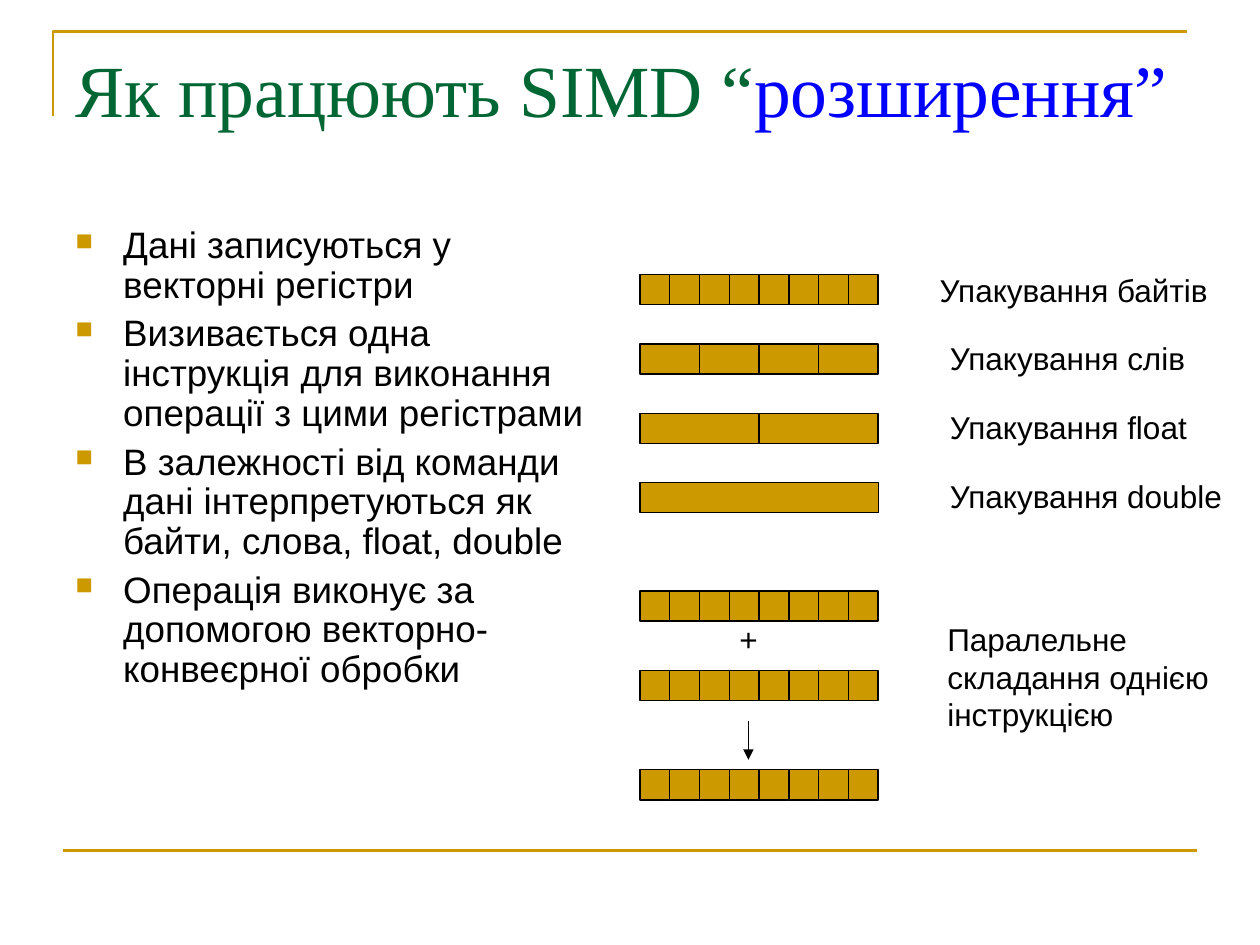
from lxml import etree
from pptx import Presentation
from pptx import util as u
from pptx.dml.color import RGBColor
from pptx.enum import shapes, text
from pptx.oxml.ns import qn

GOLD, BLACK = "CC9900", "000000"


def color(h):
    return RGBColor.from_string(h)


def add_text(x, y, w, h, lines, size, font="Arial", wrap=False):
    tf = s.shapes.add_textbox(u.Inches(x), u.Inches(y), u.Inches(w), u.Inches(h)).text_frame
    tf.word_wrap = wrap
    tf.auto_size = text.MSO_AUTO_SIZE.NONE if wrap else text.MSO_AUTO_SIZE.SHAPE_TO_FIT_TEXT
    tf.text = "\n".join(lines)
    for p in tf.paragraphs:
        p.font.size, p.font.name = u.Pt(size), font
        p.font.color.rgb = color(BLACK)
    return tf


prs = Presentation()
prs.slide_width, prs.slide_height = u.Inches(10), u.Inches(7.5)
s = prs.slides.add_slide(prs.slide_layouts[6])

# Corner frame
fb = s.shapes.build_freeform(u.Inches(0.42), u.Inches(0.92))
fb.add_line_segments([(u.Inches(0.42), u.Inches(0.25)), (u.Inches(9.42), u.Inches(0.25))], close=False)
sp = fb.convert_to_shape()
sp.shadow.inherit = False
sp.fill.background()
sp.line.color.rgb = color(GOLD)
sp.line.width = u.Pt(1.5)

# Bottom rule and result arrow
for x1, y1, x2, y2, c, width, arrow in [
    (0.5, 6.75, 9.5, 6.75, GOLD, 1.5, False),
    (5.94, 5.72, 5.94, 6.03, BLACK, 0.75, True),
]:
    cn = s.shapes.add_connector(shapes.MSO_CONNECTOR.STRAIGHT, *map(u.Inches, (x1, y1, x2, y2)))
    cn.line.color.rgb = color(c)
    cn.line.width = u.Pt(width)
    if arrow:
        etree.SubElement(cn.line._get_or_add_ln(), qn("a:tailEnd"), type="triangle")
    etree.SubElement(cn._element.spPr, qn("a:effectLst"))

# Title
tf = add_text(0.5, 0.3, 9, 1.25, [""], 42, "Times New Roman", wrap=True)
for words, c in [("Як працюють SIMD “", "006633"), ("розширення”", "0000FF")]:
    r = tf.paragraphs[0].add_run()
    r.text = words
    r.font.color.rgb = color(c)

# Bullets
tf = add_text(0.5, 1.75, 4.26, 4.95, [
    "Дані записуються у векторні регістри",
    "Визивається одна інструкція для виконання операції з цими регістрами",
    "В залежності від команди дані інтерпретуються як байти, слова, float, double",
    "Операція виконує за допомогою векторно-конвеєрної обробки",
], 21, wrap=True)
for i, p in enumerate(tf.paragraphs):
    p.line_spacing = 0.9
    p.space_before = u.Pt(5.2 if i else 0)
    pPr = p._p.get_or_add_pPr()
    pPr.set("marL", str(u.Inches(0.38)))
    pPr.set("indent", str(-u.Inches(0.38)))
    bullet = [etree.Element(qn(tag), **attrs) for tag, attrs in [
        ("a:buClr", {}), ("a:buSzPct", {"val": "65000"}), ("a:buChar", {"char": "■"})]]
    etree.SubElement(bullet[0], qn("a:srgbClr"), val=GOLD)
    for el in bullet:
        pPr.find(qn("a:defRPr")).addprevious(el)

# Registers: top and number of packed cells
LEFT, WIDTH, HEIGHT = 5.08, 1.89, 0.24
for top, n in [(2.18, 8), (2.73, 4), (3.28, 2), (3.83, 1), (4.69, 8), (5.32, 8), (6.11, 8)]:
    cell = WIDTH / n
    for i in range(n):
        sp = s.shapes.add_shape(shapes.MSO_SHAPE.RECTANGLE, u.Inches(LEFT + i * cell),
                                u.Inches(top), u.Inches(cell), u.Inches(HEIGHT))
        sp.shadow.inherit = False
        sp.fill.solid()
        sp.fill.fore_color.rgb = color(GOLD)
        sp.line.color.rgb = color(BLACK)
        sp.line.width = u.Pt(0.75)

# Labels
for x, y, w, h, lines in [
    (7.36, 2.1, 2.34, 0.4, ["Упакування байтів"]),
    (7.44, 2.64, 2.08, 0.4, ["Упакування слів"]),
    (7.44, 3.19, 2.09, 0.4, ["Упакування float"]),
    (7.44, 3.74, 2.37, 0.4, ["Упакування double"]),
    (5.77, 4.87, 0.34, 0.4, ["+"]),
    (7.42, 4.87, 2.28, 1, ["Паралельне", "складання однією", "інструкцією"]),
]:
    add_text(x, y, w, h, lines, 18)

prs.save("out.pptx")
